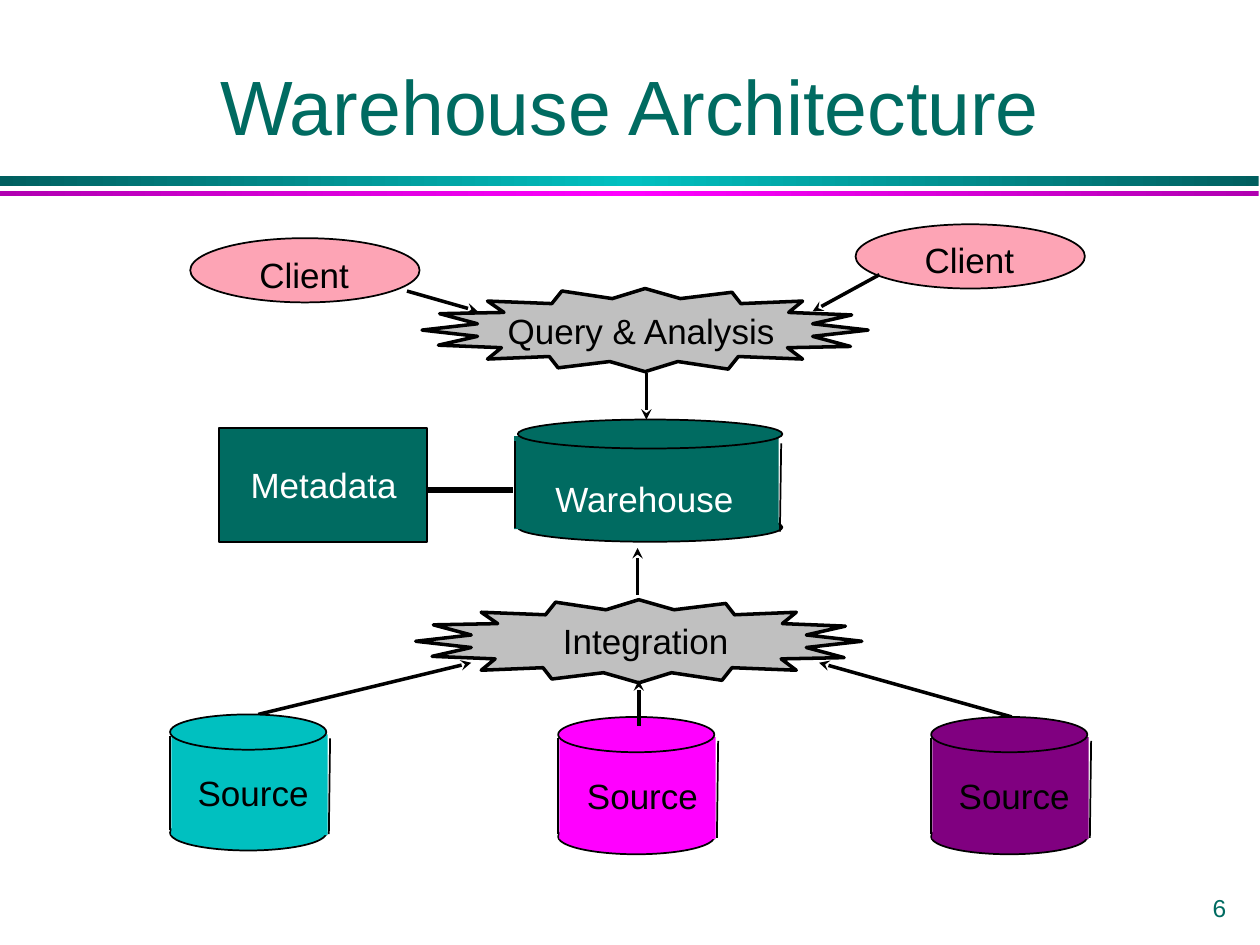
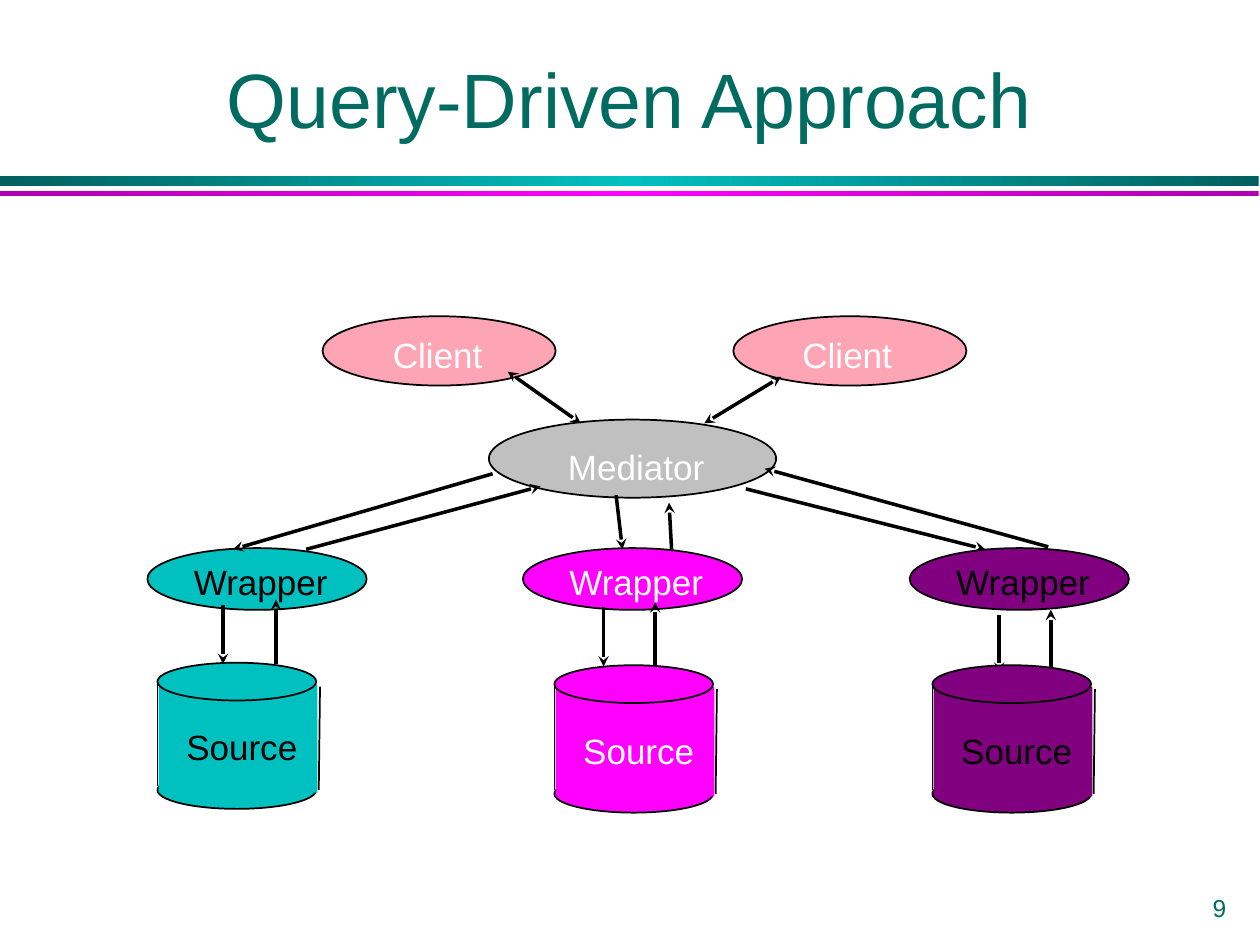
"""Build two data-integration slides: warehouse architecture and query-driven approach."""
import copy

import pptx
import pptx.dml.color
import pptx.enum.shapes
import pptx.enum.text
import pptx.oxml
import pptx.oxml.ns
import pptx.util

Inches = pptx.util.Inches
Pt = pptx.util.Pt
RGBColor = pptx.dml.color.RGBColor
SHAPE = pptx.enum.shapes.MSO_SHAPE
ALIGN = pptx.enum.text.PP_ALIGN
ANCHOR = pptx.enum.text.MSO_ANCHOR

GREEN = RGBColor(0x00, 0x6B, 0x61)
TEAL = RGBColor(0x00, 0xC0, 0xC0)
DARK_TEAL = RGBColor(0x00, 0x5F, 0x5F)
MAGENTA = RGBColor(0xFF, 0x00, 0xFF)
DARK_MAGENTA = RGBColor(0xB1, 0x00, 0xB1)
PURPLE = RGBColor(0x80, 0x00, 0x80)
PINK = RGBColor(0xFD, 0xA4, 0xB5)
GREY = RGBColor(0xC0, 0xC0, 0xC0)
BLACK = RGBColor(0x00, 0x00, 0x00)
WHITE = RGBColor(0xFF, 0xFF, 0xFF)

BANDS = [(1.4, 0.08, DARK_TEAL, TEAL), (1.52, 0.04, DARK_MAGENTA, MAGENTA)]
LABEL_HEIGHT = 0.43

BURST_HUNDREDTHS = [
    (0, 33), (44, 38), (13, 45), (63, 47), (52, 56), (101, 54), (108, 63), (149, 58),
    (177, 66), (203, 58), (243, 64), (251, 54), (302, 56), (290, 47), (340, 46), (310, 38),
    (354, 33), (310, 28), (341, 21), (291, 19), (302, 10), (253, 12), (246, 3), (205, 8),
    (177, 0), (151, 8), (111, 2), (103, 12), (52, 10), (65, 19), (14, 20), (44, 28),
]

warehouse_slide = {
    "title": ("Warehouse Architecture", 0.75, 0.25, 8.5, 1),
    "number": "6",
    "blocks": [
        (SHAPE.OVAL, (1.51, 1.89, 1.82, 0.51), PINK),
        (SHAPE.OVAL, (6.79, 1.78, 1.82, 0.51), PINK),
        (SHAPE.RECTANGLE, (1.74, 3.4, 1.65, 0.9), GREEN),
    ],
    "flows_behind": [
        (3.23, 2.31, 3.79, 2.47), (6.98, 2.18, 6.45, 2.47),
        (2.05, 5.67, 3.74, 5.26), (8.03, 5.69, 6.5, 5.26),
    ],
    "cylinders": [
        (4.11, 3.33, 2.1, 0.23, 0.74, -0.03, GREEN),
        (1.35, 5.67, 1.24, 0.28, 0.8, 0.01, TEAL),
        (4.43, 5.69, 1.24, 0.28, 0.81, 0.01, MAGENTA),
        (7.39, 5.69, 1.24, 0.28, 0.81, 0.01, PURPLE),
    ],
    "bursts": [(3.35, 2.29), (3.3, 4.76)],
    "flows_in_front": [
        (5.06, 4.72, 5.06, 4.35), (5.13, 2.96, 5.13, 3.33), (5.07, 5.76, 5.07, 5.4),
    ],
    "links": [(3.4, 3.89, 4.07, 3.89)],
    "exchanges": [],
    "labels": [
        ("Client", 1.96, 1.96, 0.95, BLACK), ("Client", 7.24, 1.84, 0.95, BLACK),
        ("Query & Analysis", 3.93, 2.41, 2.38, BLACK),
        ("Metadata", 1.89, 3.63, 1.4, WHITE), ("Warehouse", 4.31, 3.74, 1.66, WHITE),
        ("Integration", 4.37, 4.87, 1.56, BLACK),
        ("Source", 1.47, 6.07, 1.11, BLACK), ("Source", 4.56, 6.1, 1.11, BLACK),
        ("Source", 7.51, 6.1, 1.11, BLACK),
    ],
}

query_slide = {
    "title": ("Query-Driven Approach", 0.4, 0.17, 9.19, 1.02),
    "number": "9",
    "blocks": [
        (SHAPE.OVAL, (2.56, 2.51, 1.85, 0.55), PINK),
        (SHAPE.OVAL, (5.82, 2.51, 1.85, 0.55), PINK),
        (SHAPE.OVAL, (1.17, 4.35, 1.74, 0.49), TEAL),
        (SHAPE.OVAL, (4.15, 4.35, 1.74, 0.49), MAGENTA),
        (SHAPE.OVAL, (7.22, 4.35, 1.74, 0.49), PURPLE),
        (SHAPE.OVAL, (3.88, 3.33, 2.28, 0.62), GREY),
    ],
    "exchanges": [(4.03, 2.95, 4.61, 3.36), (6.2, 2.99, 5.59, 3.36)],
    "flows_behind": [
        (3.91, 3.76, 1.85, 4.36), (2.43, 4.36, 4.29, 3.86),
        (4.89, 3.93, 4.94, 4.36), (5.33, 4.36, 5.31, 3.99),
        (5.92, 3.88, 7.82, 4.36), (8.32, 4.34, 6.07, 3.72),
        (1.77, 4.8, 1.77, 5.27), (2.19, 5.27, 2.19, 4.76),
        (4.79, 4.82, 4.79, 5.29), (5.2, 5.29, 5.2, 4.78),
        (7.93, 4.88, 7.93, 5.34), (8.34, 5.34, 8.34, 4.84),
    ],
    "cylinders": [
        (1.25, 5.26, 1.26, 0.3, 0.86, 0.01, TEAL),
        (4.4, 5.28, 1.26, 0.3, 0.87, 0.01, MAGENTA),
        (7.4, 5.28, 1.26, 0.3, 0.87, 0.01, PURPLE),
    ],
    "bursts": [],
    "flows_in_front": [],
    "links": [],
    "labels": [
        ("Client", 3.02, 2.6, 0.95, WHITE), ("Client", 6.27, 2.6, 0.95, WHITE),
        ("Mediator", 4.41, 3.49, 1.33, WHITE),
        ("Wrapper", 1.44, 4.4, 1.31, BLACK), ("Wrapper", 4.42, 4.4, 1.31, WHITE),
        ("Wrapper", 7.49, 4.4, 1.31, BLACK),
        ("Source", 1.38, 5.71, 1.11, BLACK), ("Source", 4.53, 5.74, 1.11, WHITE),
        ("Source", 7.53, 5.74, 1.11, BLACK),
    ],
}


def add_part(slide, kind, box, fill, outlined=True):
    part = slide.shapes.add_shape(kind, *[Inches(length) for length in box])
    part.shadow.inherit = False
    part.fill.solid()
    part.fill.fore_color.rgb = fill
    if outlined:
        part.line.color.rgb = BLACK
        part.line.width = Pt(1)
    else:
        part.line.fill.background()
    return part


def add_line(slide, ends, width, arrowheads=()):
    line = slide.shapes.add_connector(
        pptx.enum.shapes.MSO_CONNECTOR.STRAIGHT, *[Inches(length) for length in ends])
    line.line.color.rgb = BLACK
    line.line.width = Pt(width)
    outline = line.line._get_or_add_ln()
    for arrowhead in arrowheads:
        pptx.oxml.ns.qn(arrowhead)
        head = pptx.oxml.xmlchemy.OxmlElement(arrowhead)
        head.set("type", "stealth")
        outline.append(head)
    line._element.spPr.append(pptx.oxml.xmlchemy.OxmlElement("a:effectLst"))


presentation = pptx.Presentation()
presentation.slide_width = Inches(10)
presentation.slide_height = Inches(7.5)

for content in (warehouse_slide, query_slide):
    slide = presentation.slides.add_slide(presentation.slide_layouts[6])

    for top, height, edge, middle in BANDS:
        band = add_part(slide, SHAPE.RECTANGLE, (0, top, 9.99, height), edge, outlined=False)
        band.fill.gradient()
        band.fill.gradient_angle = 0
        stop_list = band._element.spPr.find(".//" + pptx.oxml.ns.qn("a:gsLst"))
        stop_list.append(copy.deepcopy(stop_list[0]))
        for stop, position, color in zip(band.fill.gradient_stops, (0, 0.5, 1), (edge, middle, edge)):
            stop.position = position
            stop.color.rgb = color

    for kind, box, fill in content["blocks"]:
        add_part(slide, kind, box, fill)
    for ends in content["exchanges"]:
        add_line(slide, ends, 2, ("a:headEnd", "a:tailEnd"))
    for ends in content["flows_behind"]:
        add_line(slide, ends, 2, ("a:tailEnd",))

    for left, top, width, cap, drop, shift, fill in content["cylinders"]:
        add_part(slide, SHAPE.OVAL, (left, top + drop, width, cap), fill)
        add_part(slide, SHAPE.RECTANGLE, (left + shift, top + 0.57 * cap, width, drop), fill, outlined=False)
        add_part(slide, SHAPE.OVAL, (left, top, width, cap), fill)
        right_wall = left + width + shift + 0.02
        left_wall = min(left, left + shift + 0.01)
        add_line(slide, (right_wall, top + 0.19, right_wall - 0.01, top + drop + 0.15), 1)
        add_line(slide, (left_wall, top + 0.17, left_wall, top + drop + 0.12), 1)

    for left, top in content["bursts"]:
        outline = slide.shapes.build_freeform(*BURST_HUNDREDTHS[0], scale=Inches(0.01))
        outline.add_line_segments(BURST_HUNDREDTHS[1:], close=True)
        burst = outline.convert_to_shape(Inches(left), Inches(top))
        burst.shadow.inherit = False
        burst.fill.solid()
        burst.fill.fore_color.rgb = GREY
        burst.line.color.rgb = BLACK
        burst.line.width = Pt(2)

    for ends in content["flows_in_front"]:
        add_line(slide, ends, 2, ("a:tailEnd",))
    for ends in content["links"]:
        add_line(slide, ends, 3)

    title, *title_box = content["title"]
    texts = [
        (title, title_box, 44, GREEN, ALIGN.CENTER, ANCHOR.BOTTOM),
        (content["number"], (9, 7.08, 0.83, 0.25), 14, GREEN, ALIGN.RIGHT, ANCHOR.MIDDLE),
    ]
    for label, left, top, width, color in content["labels"]:
        texts.append((label, (left, top, width, LABEL_HEIGHT), 20, color, ALIGN.LEFT, ANCHOR.TOP))
    for wording, box, size, color, align, anchor in texts:
        frame = slide.shapes.add_textbox(*[Inches(length) for length in box]).text_frame
        frame.word_wrap = True
        frame.vertical_anchor = anchor
        frame.text = wording
        paragraph = frame.paragraphs[0]
        paragraph.alignment = align
        font = paragraph.runs[0].font
        font.name = "Arial"
        font.size = Pt(size)
        font.color.rgb = color

presentation.save("out.pptx")
